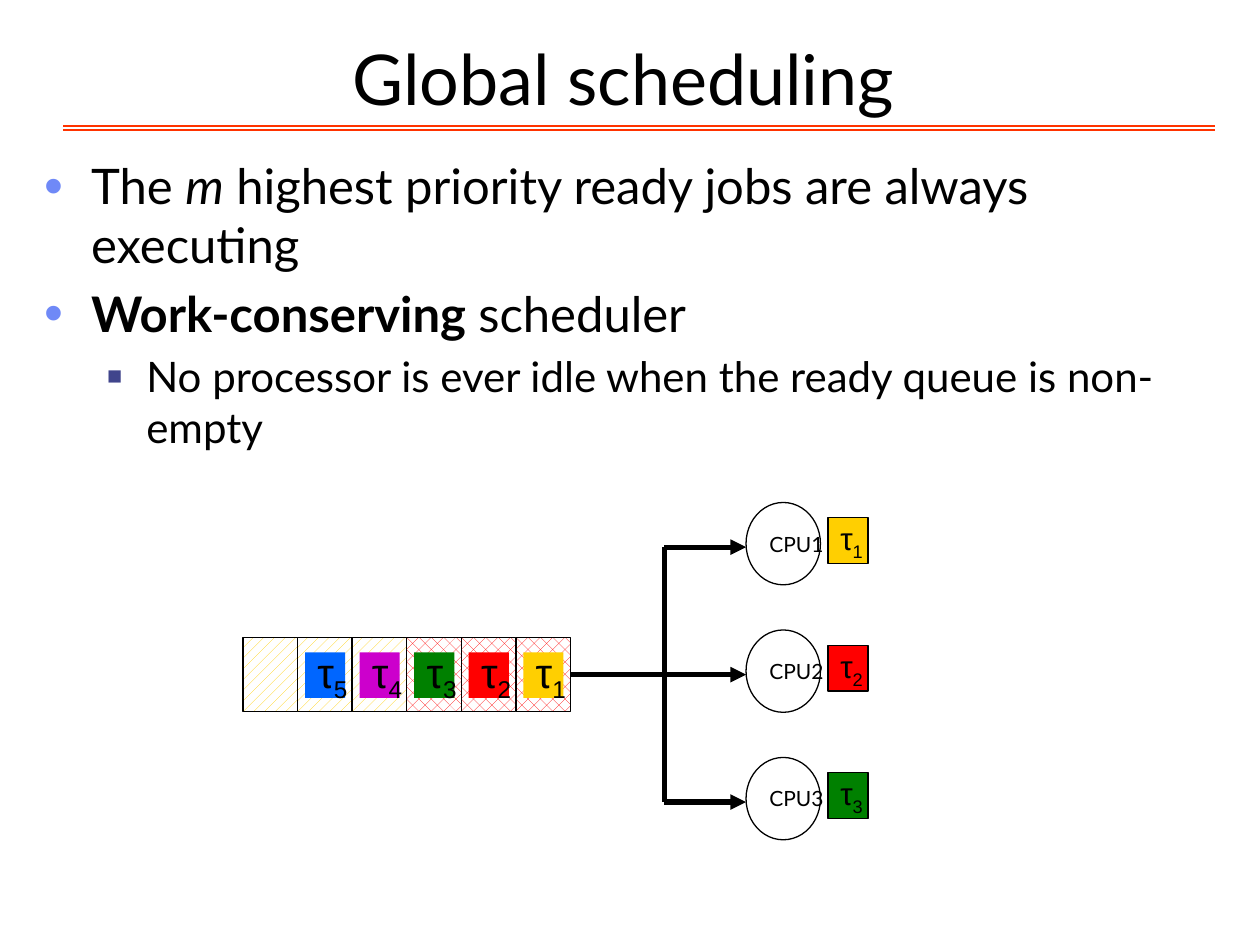
from dataclasses import dataclass

from lxml.etree import SubElement
from pptx import Presentation
from pptx.dml.color import RGBColor as RGB
from pptx.enum.dml import MSO_PATTERN as PAT
from pptx.enum.shapes import MSO_CONNECTOR as CON, MSO_SHAPE as SHP
from pptx.enum.text import MSO_ANCHOR as ANC, MSO_AUTO_SIZE as FIT, PP_ALIGN as AL
from pptx.oxml.ns import qn
from pptx.util import Cm, Pt


@dataclass(frozen=True)
class Theme:
    face: str = "Lato"
    greek: str = "Arial"
    ink: str = "000000"
    paper: str = "FFFFFF"
    rule: str = "FF3300"
    dot: str = "6F89F7"
    block: str = "40458C"
    ready: str = "FF0000"
    spare: str = "FFCF01"
    jobs: tuple = ("FFCF01", "FF0000", "008000", "CC00CC", "0066FF")
    title: int = 40
    body: int = 28
    sub: int = 24
    queue: int = 24
    token: int = 18
    label: int = 12


T = Theme()


def write(par, text, size, face=T.face, bold=False, italic=False, base=0):
    """Add one run to a paragraph; base is the baseline shift in percent."""
    run = par.add_run()
    run.text = text
    font = run.font
    font.size, font.name = Pt(size), face
    font.bold, font.italic = bold, italic
    font.color.rgb = RGB.from_string(T.ink)
    if base:
        run._r.get_or_add_rPr().set("baseline", str(base * 1000))


def draw(kind, x, y, w, h, fill=T.paper, edge=True, text="", sub="", size=T.label, face=T.face):
    """Add a shape, with its text and a subscript if given."""
    shape = slide.shapes.add_shape(kind, Cm(x), Cm(y), Cm(w), Cm(h))
    shape.shadow.inherit = False
    shape.fill.solid()
    shape.fill.fore_color.rgb = RGB.from_string(fill)
    if edge:
        shape.line.color.rgb = RGB.from_string(T.ink)
        shape.line.width = Pt(0.75)
    else:
        shape.line.fill.background()
    if text:
        frame = shape.text_frame
        frame.word_wrap = False
        frame.vertical_anchor = ANC.MIDDLE
        par = frame.paragraphs[0]
        par.alignment = AL.LEFT
        write(par, text, size, face)
        if sub:
            write(par, sub, size, face, base=-25)
    return shape


deck = Presentation()
deck.slide_width, deck.slide_height = Cm(25.4), Cm(19.05)
slide = deck.slides.add_slide(deck.slide_layouts[5])

# Title
title = slide.shapes.title
title.left, title.top, title.width, title.height = Cm(0.64), Cm(0.43), Cm(23.85), Cm(2.11)
frame = title.text_frame
frame.auto_size = FIT.NONE
frame.vertical_anchor = ANC.BOTTOM
frame.paragraphs[0].alignment = AL.CENTER
write(frame.paragraphs[0], "Global scheduling", T.title)

# Bullets: level, runs with their format
points = [
    (0, [("The ", {}), ("m", {"italic": True}),
         (" highest priority ready jobs are always executing", {})]),
    (0, [("Work-conserving", {"bold": True}), (" scheduler", {})]),
    (1, [("No processor is ever idle when the ready queue is non-empty", {})]),
]
# Size, left margin, hanging indent, mark, mark colour, mark percent
levels = [
    (T.body, 0.95, 0.95, "•", T.dot, 110),
    (T.sub, 2.06, 0.79, "■", T.block, 60),
]
frame = slide.shapes.add_textbox(Cm(0.64), Cm(3.02), Cm(24.33), Cm(15.19)).text_frame
frame.word_wrap = True
for i, (level, runs) in enumerate(points):
    size, left, hang, mark, color, scale = levels[level]
    par = frame.add_paragraph() if i else frame.paragraphs[0]
    par.level = level
    par.space_before = Pt(0.2 * size if i else 0)
    props = par._p.get_or_add_pPr()
    props.set("marL", str(Cm(left)))
    props.set("indent", str(-Cm(hang)))
    tint = SubElement(props, qn("a:buClr"))
    SubElement(tint, qn("a:srgbClr"), val=color)
    SubElement(props, qn("a:buSzPct"), val=str(scale * 1000))
    SubElement(props, qn("a:buFont"), typeface=T.greek)
    SubElement(props, qn("a:buChar"), char=mark)
    for text, style in runs:
        write(par, text, size, **style)

# Ready queue: the job at the right end is first
cell_w, cell_h, queue_x, queue_y = 1.1, 1.5, 4.9, 12.85
cells = 6
for i in range(cells):
    x = queue_x + (cells - 1 - i) * cell_w
    cell = draw(SHP.RECTANGLE, x, queue_y, cell_w, cell_h)
    ready = i < 3
    cell.fill.patterned()
    cell.fill.pattern = PAT.PERCENT_30 if ready else PAT.PERCENT_20
    cell.fill.fore_color.rgb = RGB.from_string(T.ready if ready else T.spare)
    cell.fill.back_color.rgb = RGB.from_string(T.paper)
    if i == 0:
        head = cell
    if i < len(T.jobs):
        draw(SHP.RECTANGLE, x + 0.15, queue_y + 0.3, 0.81, 0.92, T.jobs[i], False,
             "τ", str(i + 1), T.queue, T.greek)

# Processors, each with its running job
cpu_x, cpu_y, step = 15.04, 10.13, 2.57
for i in range(3):
    y = cpu_y + i * step
    draw(SHP.OVAL, cpu_x, y, 1.5, 1.66, text=f"CPU{i + 1}")
    draw(SHP.RECTANGLE, 16.69, y + 0.31, 0.81, 0.92, T.jobs[i], True,
         "τ", str(i + 1), T.token, T.greek)

# Title rules, bus and arrows: ends, colour, width, arrowhead
end_x = queue_x + cells * cell_w
mid = queue_y + cell_h / 2
top, low, bus = mid - step, mid + step, 13.39
lines = [
    (1.27, 2.54, 24.49, 2.54, T.rule, 1, False),
    (1.27, 2.62, 24.49, 2.62, T.rule, 1, False),
    (bus, top, bus, low, T.ink, 3, False),
    (bus, top, cpu_x, top, T.ink, 3, True),
    (bus, low, cpu_x, low, T.ink, 3, True),
    (end_x, mid, cpu_x, mid, T.ink, 3, True),
]
for x1, y1, x2, y2, color, width, arrow in lines:
    line = slide.shapes.add_connector(CON.STRAIGHT, Cm(x1), Cm(y1), Cm(x2), Cm(y2))
    line.line.color.rgb = RGB.from_string(color)
    line.line.width = Pt(width)
    if arrow:
        SubElement(line.line._get_or_add_ln(), qn("a:tailEnd"), type="triangle")
    SubElement(line._element.spPr, qn("a:effectLst"))
    if x1 == end_x:
        line.begin_connect(head, 3)

deck.save("out.pptx")
